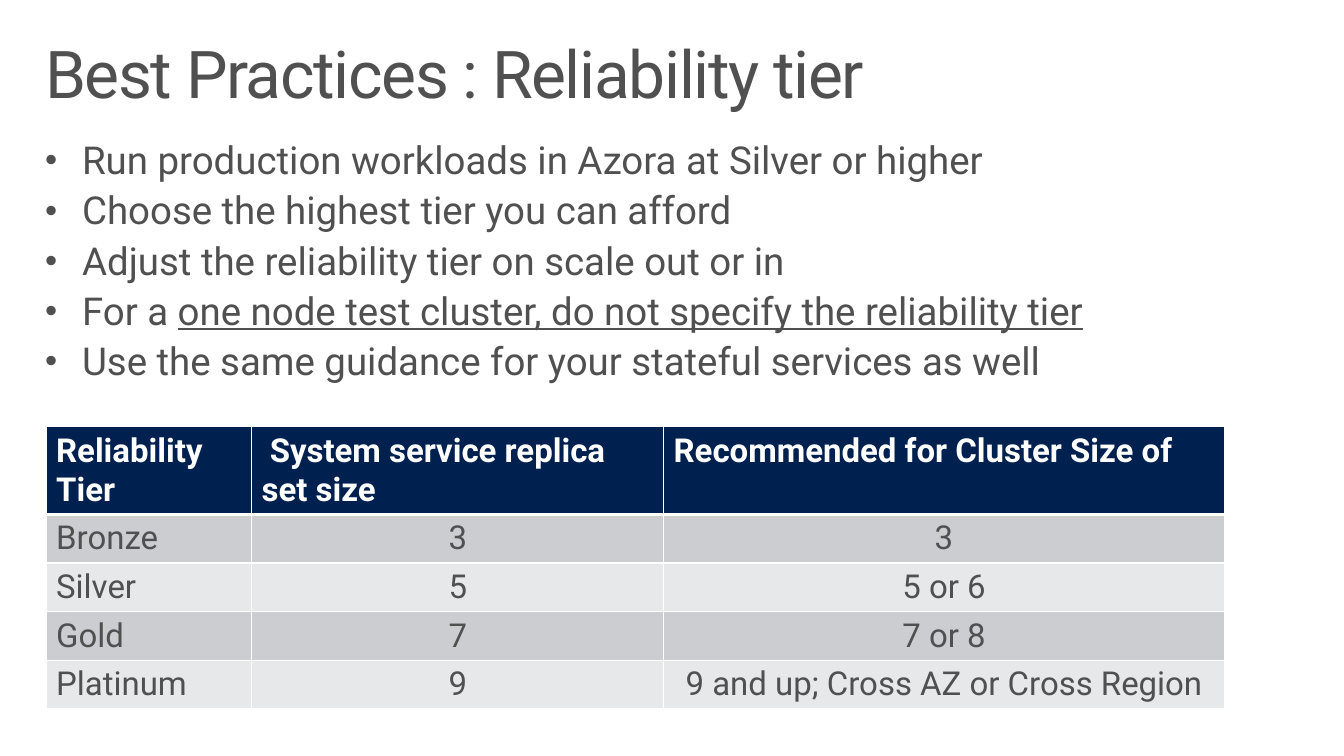
from lxml.etree import SubElement
from pptx import Presentation
from pptx.dml.color import RGBColor
from pptx.enum.text import MSO_ANCHOR, MSO_AUTO_SIZE, PP_ALIGN
from pptx.oxml.ns import qn
from pptx.util import Cm, Pt

GREY = RGBColor(0x50, 0x50, 0x50)
WHITE = RGBColor(0xFF, 0xFF, 0xFF)
NAVY = RGBColor(0x00, 0x20, 0x50)
DARK = RGBColor(0xCC, 0xCD, 0xD0)
LIGHT = RGBColor(0xE7, 0xE8, 0xE9)

POINTS = [
    ["Run production workloads in Azora at Silver or higher"],
    ["Choose the highest tier you can afford"],
    ["Adjust the reliability tier on scale out or in"],
    ["For a ", "one node test cluster, do not specify the reliability tier"],
    ["Use the same guidance for your stateful services as well"],
]
TIERS = [
    ["Reliability Tier", " System service replica set size",
     "Recommended for Cluster Size of"],
    ["Bronze", "3", "3"],
    ["Silver", "5", "5 or 6"],
    ["Gold", "7", "7 or 8"],
    ["Platinum", "9", "9 and up; Cross AZ or Cross Region"],
]
WIDTHS = [Cm(5.28), Cm(10.59), Cm(14.4)]


def write(para, text, size=24, color=GREY, bold=False, line=False, track=0):
    """Add a formatted run to a paragraph."""
    run = para.add_run()
    run.text = text
    font = run.font
    font.name, font.size, font.bold = "Roboto", Pt(size), bold
    font.underline = line
    font.color.rgb = color
    if track:
        font._element.set("spc", str(track))


def place(holder, top, height):
    """Move a placeholder and return its prepared text frame."""
    holder.left, holder.top = Cm(0.76), Cm(top)
    holder.width, holder.height = Cm(33.02), Cm(height)
    frame = holder.text_frame
    frame.word_wrap = True
    frame.auto_size = MSO_AUTO_SIZE.NONE
    frame.vertical_anchor = MSO_ANCHOR.TOP
    frame.margin_left = frame.margin_right = Cm(0.4)
    frame.margin_top = frame.margin_bottom = Cm(0.25)
    return frame


def space(para, after=0):
    """Set the alignment and spacing of a paragraph."""
    para.alignment = PP_ALIGN.LEFT
    para.line_spacing = 0.9
    para.space_before, para.space_after = Pt(0), Pt(after)


def bullet(para):
    """Give a paragraph a hanging bullet."""
    props = para._p.get_or_add_pPr()
    props.set("marL", str(Cm(0.95)))
    props.set("indent", str(-Cm(0.95)))
    SubElement(props, qn("a:buSzPct"), val="90000")
    SubElement(props, qn("a:buFont"), typeface="Arial")
    SubElement(props, qn("a:buChar"), char="•")


def add_title(slide, text):
    """Fill the title placeholder."""
    para = place(slide.shapes.title, 0.81, 2.54).paragraphs[0]
    space(para)
    write(para, text, size=48, track=-100)


def add_list(slide, points):
    """Fill the body placeholder, underlining the second run of a point."""
    frame = place(slide.placeholders[1], 3.38, 7.8)
    for index, parts in enumerate(points):
        para = frame.add_paragraph() if index else frame.paragraphs[0]
        space(para, after=6.4)
        bullet(para)
        for rank, part in enumerate(parts):
            write(para, part, size=28, line=rank == 1)


def border(cell, head):
    """Draw white cell borders, with a thick one below the header."""
    props = cell._tc.get_or_add_tcPr()
    for side in "LRTB":
        width = Pt(3 if head and side == "B" else 1)
        edge = SubElement(props, qn("a:ln" + side), w=str(width))
        fill = SubElement(edge, qn("a:solidFill"))
        SubElement(fill, qn("a:srgbClr"), val=str(WHITE))


def fill_cell(cell, text, row, col):
    """Format one table cell by its row and column."""
    head = row == 0
    border(cell, head)
    cell.fill.solid()
    cell.fill.fore_color.rgb = NAVY if head else DARK if row % 2 else LIGHT
    para = cell.text_frame.paragraphs[0]
    para.alignment = PP_ALIGN.LEFT if head or col == 0 else PP_ALIGN.CENTER
    write(para, text, color=WHITE if head else GREY, bold=head)


def add_tiers(slide, data):
    """Add the table of reliability tiers."""
    frame = slide.shapes.add_table(
        len(data), len(WIDTHS), Cm(1.19), Cm(10.97), sum(WIDTHS), Cm(7.25))
    table = frame.table
    for column, width in zip(table.columns, WIDTHS):
        column.width = width
    for row, texts in enumerate(data):
        table.rows[row].height = Cm(1.25 if row else 2.25)
        for col, text in enumerate(texts):
            fill_cell(table.cell(row, col), text, row, col)


def main():
    """Build and save the slide."""
    deck = Presentation()
    deck.slide_width, deck.slide_height = Cm(34.54), Cm(19.43)
    slide = deck.slides.add_slide(deck.slide_layouts[1])
    add_title(slide, "Best Practices : Reliability tier")
    add_list(slide, POINTS)
    add_tiers(slide, TIERS)
    deck.save("out.pptx")


if __name__ == "__main__":
    main()
